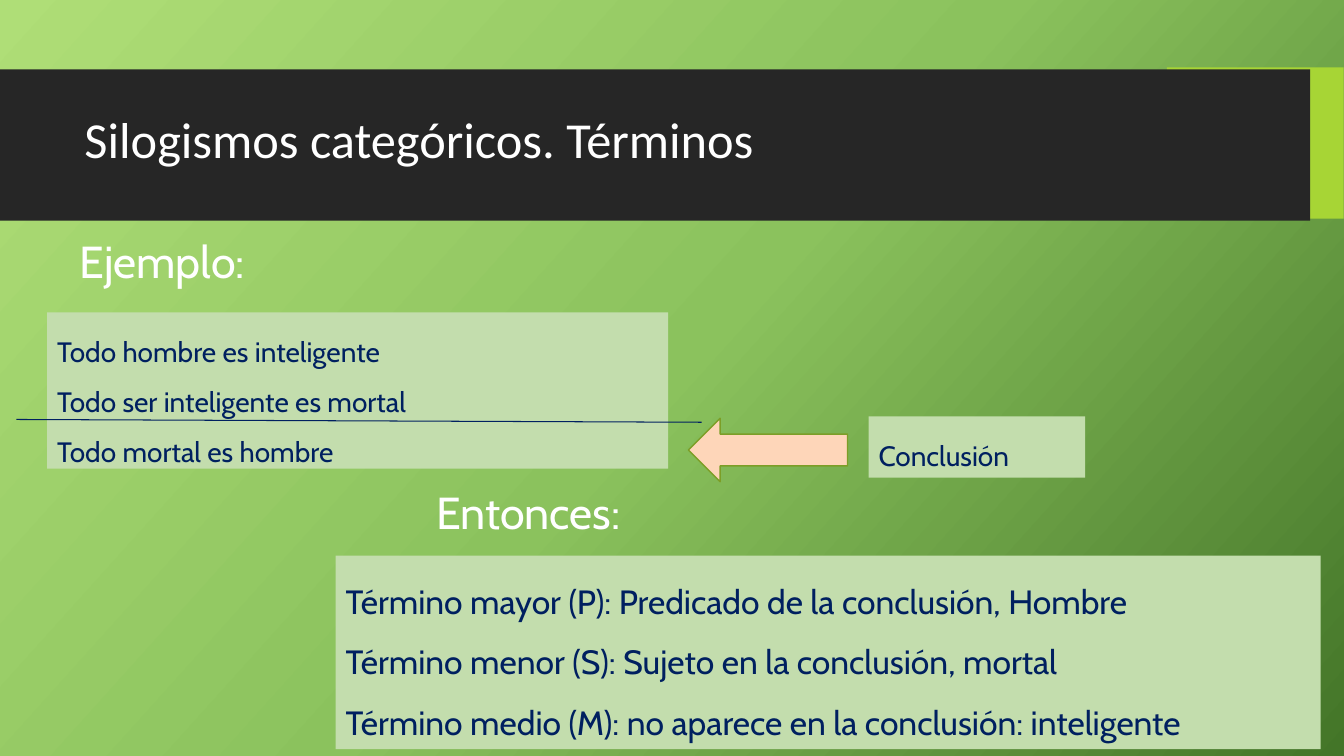
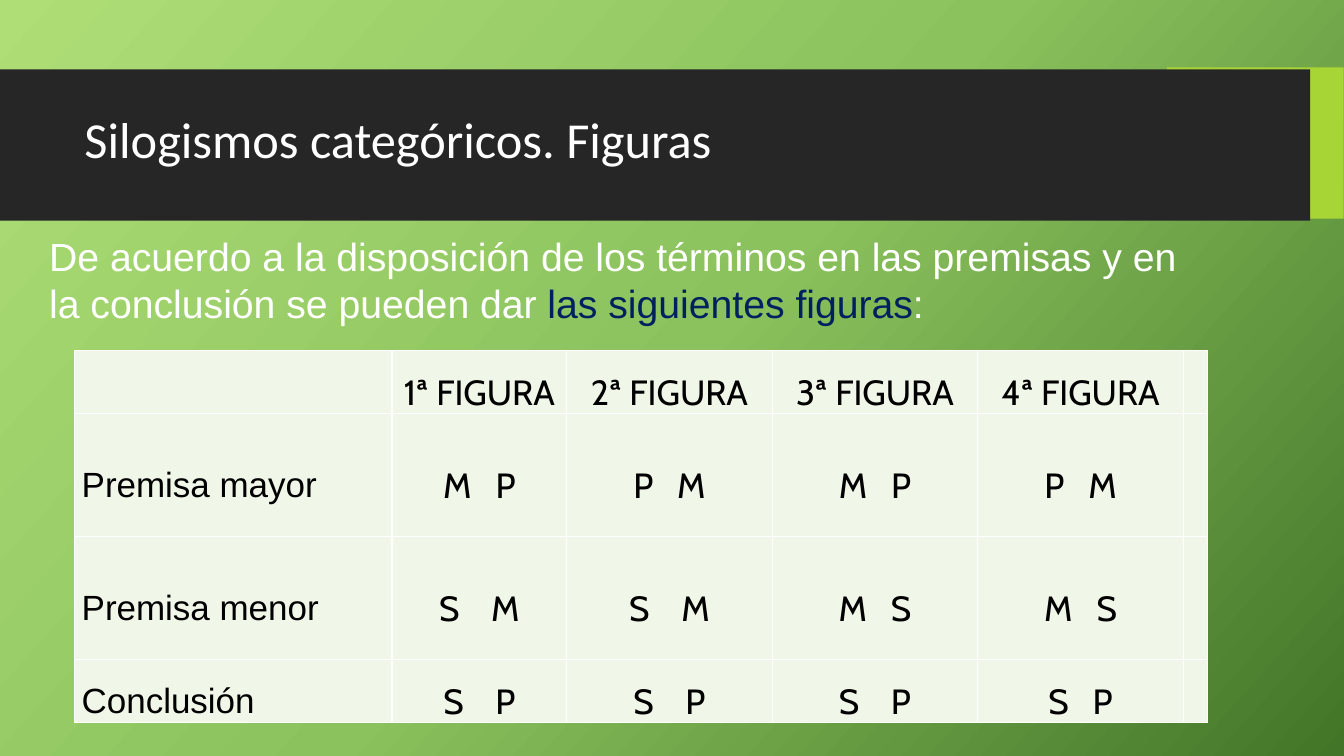
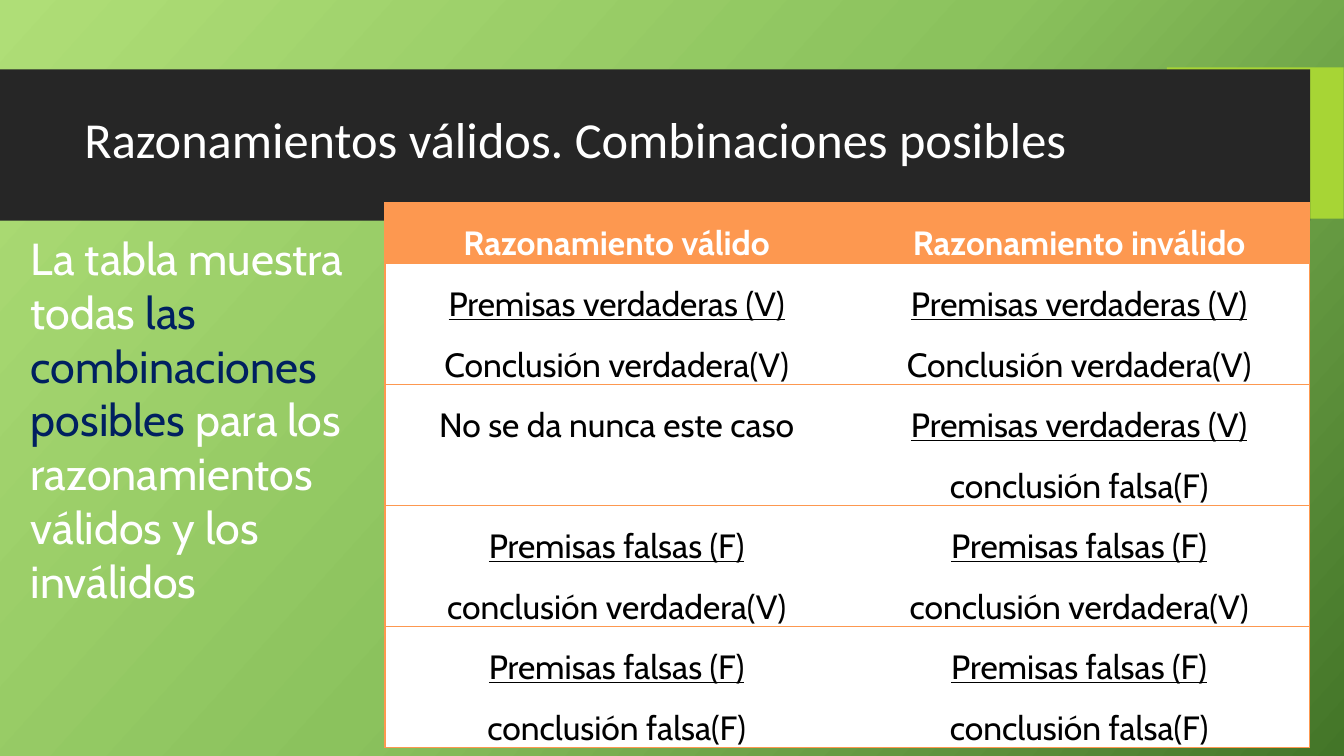
from copy import deepcopy

from lxml.etree import SubElement
from pptx import Presentation
from pptx.dml.color import RGBColor
from pptx.enum.shapes import MSO_CONNECTOR, MSO_SHAPE
from pptx.enum.text import MSO_ANCHOR, PP_ALIGN
from pptx.oxml.ns import qn
from pptx.util import Cm, Pt

WHITE = RGBColor(0xFF, 0xFF, 0xFF)
BLACK = RGBColor(0, 0, 0)
NAVY = RGBColor(0x00, 0x20, 0x60)
DARK = RGBColor(0x26, 0x26, 0x26)
LIME = RGBColor(0xA7, 0xD5, 0x35)
PALE = RGBColor(0xC3, 0xDD, 0xAD)
MIST = RGBColor(0xF1, 0xF7, 0xE8)
PEACH = RGBColor(0xFE, 0xD6, 0xB9)
OLIVE = RGBColor(0x7C, 0x9E, 0x27)
ORANGE = RGBColor(0xFD, 0x98, 0x50)
BACK = [(0, RGBColor(0xAF, 0xDE, 0x77)), (0.5, RGBColor(0x8B, 0xC2, 0x5D)),
        (1, RGBColor(0x43, 0x75, 0x28))]

BODY, HEAD, PLAIN = "Cabin", "Calibri", "Arial"
NO_GRID = "{2D5ABB26-0587-4C30-8999-92F81FD0307C}"
NEAR, FAR = 11.5, 17  # extra points between the two terms of a figure


def paint(master):
    """Give the master its three-stop gradient."""
    fill = master.background.fill
    fill.gradient()
    fill.gradient_angle = 318
    first = next(master.element.iter(qn("a:gs")))
    first.addnext(deepcopy(first))
    for stop, (pos, color) in zip(fill.gradient_stops, BACK):
        stop.position = pos
        stop.color.rgb = color


def style(para, size, color, name=BODY, space=1.0, bold=False):
    font = para.font
    font.size, font.name, font.bold = Pt(size), name, bold
    font.color.rgb = color
    para.line_spacing = space


def add_text(slide, spot, lines, size, color, name=BODY, space=1.0, fill=None):
    """Add a box; a line is a list of (words, own colour or None)."""
    box = slide.shapes.add_textbox(*map(Cm, spot))
    if fill is not None:
        box.fill.solid()
        box.fill.fore_color.rgb = fill
    frame = box.text_frame
    frame.word_wrap = True
    for i, line in enumerate(lines):
        para = frame.add_paragraph() if i else frame.paragraphs[0]
        style(para, size, color, name, space)
        for words, tint in line:
            run = para.add_run()
            run.text = words
            if tint is not None:
                run.font.color.rgb = tint
    return frame


def add_label(slide, spot, words):
    add_text(slide, spot, [[(words, None)]], 32, WHITE)


def add_panel(slide, spot, size, *lines):
    rows = [[(words, None)] for words in lines]
    add_text(slide, spot, rows, size, NAVY, space=1.5, fill=PALE)


def add_block(slide, kind, spot, fill, edge=None):
    block = slide.shapes.add_shape(kind, *map(Cm, spot))
    block.shadow.inherit = False
    block.fill.solid()
    block.fill.fore_color.rgb = fill
    if edge is None:
        block.line.fill.background()
    else:
        block.line.color.rgb = edge
        block.line.width = Pt(1)


def add_rule(slide, ends):
    rule = slide.shapes.add_connector(MSO_CONNECTOR.STRAIGHT, *map(Cm, ends))
    rule.line.color.rgb = NAVY
    rule.line.width = Pt(0.75)
    SubElement(rule.element.spPr, qn("a:effectLst"))


def new_slide(deck, title):
    slide = deck.slides.add_slide(deck.slide_layouts[6])
    add_block(slide, MSO_SHAPE.RECTANGLE, (29.41, 1.7, 4.45, 3.81), LIME)
    add_block(slide, MSO_SHAPE.RECTANGLE, (0, 1.75, 33.02, 3.81), DARK)
    frame = add_text(slide, (1.88, 2.08, 29.92, 3), [[(title, None)]],
                     36, WHITE, HEAD, 0.9)
    frame.vertical_anchor = MSO_ANCHOR.MIDDLE
    return slide


def add_grid(slide, left, top, cols, rows):
    grid = slide.shapes.add_table(len(rows), len(cols), Cm(left), Cm(top),
                                  Cm(sum(cols)), Cm(sum(rows))).table
    grid.first_row = grid.horz_banding = False
    next(grid._tbl.iter(qn("a:tableStyleId"))).text = NO_GRID
    for col, width in zip(grid.columns, cols):
        col.width = Cm(width)
    for row, height in zip(grid.rows, rows):
        row.height = Cm(height)
    return grid


def dress(cell, fill, edge, sides, pad):
    """Set the fill, side margins and borders (sides in the order LRTB)."""
    cell.margin_left = cell.margin_right = Cm(pad)
    cell.margin_top = cell.margin_bottom = 0
    props = cell._tc.get_or_add_tcPr()
    for side in sides:
        line = SubElement(props, qn("a:ln" + side), w=str(Pt(1)))
        solid = SubElement(line, qn("a:solidFill"))
        SubElement(solid, qn("a:srgbClr"), val=str(edge))
    cell.fill.solid()
    cell.fill.fore_color.rgb = fill


def fill_cell(cell, name=BODY, align=PP_ALIGN.CENTER):
    """Style the only paragraph of a figure cell and return it."""
    para = cell.text_frame.paragraphs[0]
    style(para, 25, BLACK, name, 1.5)
    para.alignment = align
    para.space_before = para.space_after = Pt(5)
    return para


def add_pair(para, terms, gap):
    """Write two terms with a widened space between them."""
    for sign in (terms[0], " ", terms[1]):
        run = para.add_run()
        run.text = sign
        if sign == " ":
            run.font._element.set("spc", str(int(gap * 100)))


def add_figures(slide):
    rows = [
        ("Premisa mayor", ("MP", "PM", "MP", "PM"), (NEAR,) * 4),
        ("Premisa menor", ("SM", "SM", "MS", "MS"), (FAR, FAR, NEAR, NEAR)),
        ("Conclusión", ("SP",) * 4, (FAR, FAR, FAR, NEAR)),
    ]
    grid = add_grid(slide, 1.88, 8.84, [8, 4.4, 5.18, 5.18, 5.18, 0.62],
                    [1.55, 3.1, 3.1, 1.55])
    for cell in grid.iter_cells():
        dress(cell, MIST, WHITE, "LRTB", 0.18)
    for c in range(1, 5):
        fill_cell(grid.cell(0, c)).add_run().text = f"{c}ª FIGURA"
    for r, (label, pairs, gaps) in enumerate(rows, 1):
        para = fill_cell(grid.cell(r, 0), PLAIN, PP_ALIGN.LEFT)
        para.add_run().text = label
        for c, (terms, gap) in enumerate(zip(pairs, gaps), 1):
            add_pair(fill_cell(grid.cell(r, c)), terms, gap)
        for c in range(5):
            grid.cell(r, c).vertical_anchor = MSO_ANCHOR.MIDDLE


def add_cases(slide):
    true, false = "Premisas verdaderas (V)", "Premisas falsas (F)"
    good = (true, "Conclusión verdadera(V)")
    mixed = (false, "conclusión verdadera(V)")
    bad = (false, "conclusión falsa(F)")
    rows = [
        (("Razonamiento válido",), ("Razonamiento inválido",)),
        (good, good),
        (("No se da nunca este caso",), (true, "conclusión falsa(F)")),
        (mixed, mixed),
        (bad, bad),
    ]
    grid = add_grid(slide, 9.7, 5.11, [11.68, 11.63], [1.4] + [2.82] * 4)
    for r, row in enumerate(rows):
        for c, lines in enumerate(row):
            cell = grid.cell(r, c)
            dress(cell, WHITE if r else ORANGE, ORANGE, "LR"[c] + "TB", 0.13)
            frame = cell.text_frame
            for i, words in enumerate(lines):
                para = frame.add_paragraph() if i else frame.paragraphs[0]
                para.add_run().text = words
                style(para, 24, BLACK if r else WHITE, space=1.5, bold=r == 0)
                para.font.underline = words in (true, false)
                para.alignment = PP_ALIGN.CENTER


def draw_terms(deck):
    slide = new_slide(deck, "Silogismos categóricos. Términos")
    add_label(slide, (1.75, 5.77, 26.85, 1.63), "Ejemplo:")
    add_panel(slide, (1.19, 7.87, 15.65, 3.94), 20,
              "Todo hombre es inteligente",
              "Todo ser inteligente es mortal",
              "Todo mortal es hombre")
    add_rule(slide, (0.41, 10.57, 17.68, 10.64))
    add_panel(slide, (8.46, 14, 24.82, 4.88), 24,
              "Término mayor (P): Predicado de la conclusión, Hombre",
              "Término menor (S): Sujeto en la conclusión, mortal",
              "Término medio (M): no aparece en la conclusión: inteligente")
    add_label(slide, (10.74, 12.09, 14.58, 1.63), "Entonces:")
    add_panel(slide, (21.89, 10.49, 5.46, 1.55), 20, "Conclusión")
    add_block(slide, MSO_SHAPE.LEFT_ARROW, (17.35, 10.54, 4.01, 1.6),
              PEACH, OLIVE)


def draw_figures(deck):
    slide = new_slide(deck, "Silogismos categóricos. Figuras")
    add_figures(slide)
    line = [("De acuerdo a la disposición de los términos en las premisas "
             "y en la conclusión se pueden dar ", None),
            ("las siguientes figuras", NAVY), (":", None)]
    add_text(slide, (0.99, 5.72, 29.44, 2.64), [line], 28, WHITE, PLAIN)


def draw_cases(deck):
    slide = new_slide(deck, "Razonamientos válidos. Combinaciones posibles")
    line = [("La tabla muestra todas ", None),
            ("las combinaciones posibles ", NAVY),
            ("para los razonamientos válidos y los inválidos", None)]
    add_text(slide, (0.53, 5.69, 9.83, 9.83), [line], 32, WHITE)
    add_cases(slide)


def main():
    deck = Presentation()
    deck.slide_width, deck.slide_height = Cm(33.87), Cm(19.05)
    paint(deck.slide_master)
    draw_terms(deck)
    draw_figures(deck)
    draw_cases(deck)
    deck.save("out.pptx")


if __name__ == "__main__":
    main()
